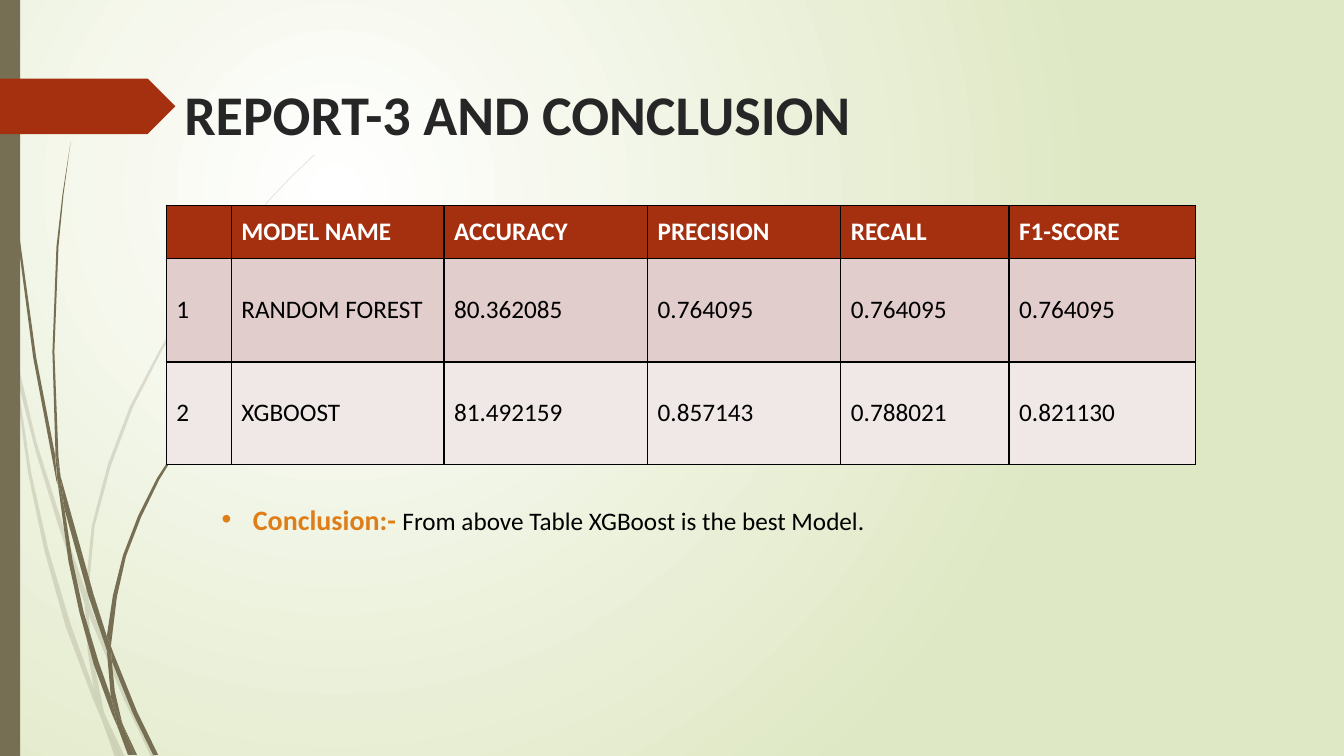
from lxml.etree import SubElement
from pptx import Presentation
from pptx.dml.color import RGBColor
from pptx.enum.shapes import MSO_SHAPE as Shape
from pptx.enum.text import MSO_ANCHOR as Anchor, PP_ALIGN as Align
from pptx.oxml import parse_xml
from pptx.oxml.ns import nsdecls, qn
from pptx.util import Cm, Pt

FONT = "Calibri"
WHITE = RGBColor(0xFF, 0xFF, 0xFF)
BLACK = RGBColor(0x00, 0x00, 0x00)
INK = RGBColor(0x26, 0x26, 0x26)
PALE_GREEN = RGBColor(0xDF, 0xE8, 0xC4)
OLIVE = RGBColor(0x76, 0x6F, 0x54)
RUST = RGBColor(0xA5, 0x30, 0x10)
ROSE = RGBColor(0xE1, 0xCD, 0xCC)
PALE_ROSE = RGBColor(0xF0, 0xE8, 0xE7)
ORANGE = RGBColor(0xDE, 0x7E, 0x18)

# Outlines of the grass blades, in steps of STEM_UNIT
STEM_UNIT = Cm(.0254)
BACK_STEMS = [
    [(11, 350), (9, 322), (0, 282), (0, 299), (10, 344)],
    [(58, 522), (84, 599), (85, 586), (62, 520), (36, 438), (14, 345),
     (17, 376), (36, 450)],
    [(92, 607), (88, 596), (88, 610), (123, 694), (150, 751), (155, 751),
     (127, 692)],
    [(119, 751), (124, 751), (105, 711)],
    [(93, 683), (70, 619), (48, 545), (31, 469), (17, 376), (11, 350),
     (28, 470), (44, 546), (65, 621), (92, 693), (101, 714), (99, 707)],
    [(84, 599), (87, 646), (93, 683), (96, 692), (105, 711), (103, 706),
     (91, 646), (88, 610), (88, 608)],
    [(88, 584), (94, 522), (110, 462), (132, 404), (160, 349), (192, 296),
     (229, 245), (268, 198), (290, 175), (312, 154), (312, 153), (289, 175),
     (268, 197), (228, 244), (190, 294), (158, 348), (129, 403), (107, 461),
     (91, 522), (85, 584), (85, 586), (88, 596)],
    [(101, 714), (114, 751), (119, 751)],
    [(88, 608), (88, 610), (88, 596), (85, 586), (84, 599)],
    [(96, 692), (93, 683), (99, 707), (101, 714), (119, 751), (105, 711)],
]
FRONT_STEMS = [
    [(7, 110), (17, 233), (33, 355), (56, 477), (57, 481), (55, 457),
     (55, 453), (36, 355), (19, 232), (8, 109), (5, 48), (4, 0), (3, 0),
     (4, 48)],
    [(88, 592), (106, 645), (106, 633), (106, 631), (93, 590), (60, 472),
     (64, 505)],
    [(113, 649), (110, 641), (111, 656), (132, 708), (152, 749), (157, 749),
     (136, 706)],
    [(110, 691), (98, 657), (83, 607), (72, 556), (64, 505), (57, 477),
     (68, 557), (79, 608), (93, 659), (111, 708), (117, 722), (116, 717)],
    [(60, 472), (58, 453), (54, 349), (58, 245), (63, 193), (70, 141),
     (62, 193), (56, 245), (52, 349), (55, 449)],
    [(133, 749), (136, 749), (122, 719)],
    [(57, 477), (64, 505), (60, 472), (55, 449), (55, 453)],
    [(111, 633), (116, 592), (125, 552), (140, 513), (158, 476), (180, 440),
     (205, 406), (231, 374), (245, 359), (261, 344), (260, 344), (245, 358),
     (231, 373), (204, 405), (179, 439), (156, 474), (137, 512), (122, 551),
     (112, 591), (106, 631), (110, 641)],
    [(117, 722), (127, 749), (131, 749)],
    [(106, 645), (110, 691), (116, 706), (122, 719), (121, 716), (114, 686),
     (111, 656), (109, 651)],
    [(106, 645), (109, 651), (111, 656), (110, 641), (106, 631), (106, 633)],
    [(116, 706), (110, 691), (116, 717), (117, 722), (130, 749), (133, 749),
     (122, 719)],
]
COLUMN_WIDTHS = [1.64, 5.36, 5.13, 4.87, 4.24, 4.7]
ROW_HEIGHTS = [1.34, 2.6, 2.59]
ROW_FILLS = [RUST, ROSE, PALE_ROSE]
SCORES = [
    ["", "MODEL NAME", "ACCURACY", "PRECISION", "RECALL", "F1-SCORE"],
    ["1", "RANDOM FOREST", "80.362085", "0.764095", "0.764095", "0.764095"],
    ["2", "XGBOOST", "81.492159", "0.857143", "0.788021", "0.821130"],
]


def paint(shape, color):
    shape.shadow.inherit = False
    shape.fill.solid()
    shape.fill.fore_color.rgb = color
    shape.line.fill.background()


def style(font, size, color, bold):
    font.name, font.size, font.bold = FONT, Pt(size), bold
    font.color.rgb = color


def place(shape, left, top, width, height):
    shape.left, shape.top = Cm(left), Cm(top)
    shape.width, shape.height = Cm(width), Cm(height)


def add_background(slide):
    fill = slide.background.fill
    fill.gradient()
    for stop, color in zip(fill.gradient_stops, (WHITE, PALE_GREEN)):
        stop.color.rgb = color
    # Radial glow centred in the upper left quarter
    gradient = slide.element.find(".//" + qn("a:gradFill"))
    gradient.remove(gradient.find(qn("a:lin")))
    glow = SubElement(gradient, qn("a:path"), path="circle")
    SubElement(glow, qn("a:fillToRect"),
               l="50000", t="50000", r="100000", b="100000")


def add_stems(slide, left, top, stems, opacity=100):
    for outline in stems:
        builder = slide.shapes.build_freeform(*outline[0], scale=STEM_UNIT)
        builder.add_line_segments(outline[1:], close=True)
        stem = builder.convert_to_shape(Cm(left), Cm(top))
        paint(stem, OLIVE)
        if opacity < 100:
            color = stem.element.spPr.find(".//" + qn("a:srgbClr"))
            SubElement(color, qn("a:alpha"), val=str(opacity * 1000))


def add_side_decoration(slide, left, top, height):
    add_stems(slide, left, top, BACK_STEMS, opacity=20)
    add_stems(slide, left, top, FRONT_STEMS)
    side_bar = slide.shapes.add_shape(
        Shape.RECTANGLE, Cm(left), Cm(top), Cm(.51), Cm(height))
    paint(side_bar, OLIVE)
    title_arrow = slide.shapes.add_shape(
        Shape.PENTAGON, Cm(left), Cm(top + 1.98), Cm(4.42), Cm(1.4))
    paint(title_arrow, RUST)


def add_title(slide, left, top, width, height):
    title = slide.shapes.title
    place(title, left, top, width, height)
    title.text_frame.text = "REPORT-3 AND CONCLUSION"
    title.text_frame.vertical_anchor = Anchor.TOP
    heading = title.text_frame.paragraphs[0]
    heading.alignment = Align.LEFT
    style(heading.font, 40, INK, True)


def add_border(cell):
    properties = cell._tc.get_or_add_tcPr()
    for position, side in enumerate(("lnL", "lnR", "lnT", "lnB")):
        properties.insert(position, parse_xml(
            f'<a:{side} {nsdecls("a")} w="12700"><a:solidFill>'
            f'<a:srgbClr val="{BLACK}"/></a:solidFill></a:{side}>'))


def add_scores(slide, left, top):
    scores = slide.shapes.add_table(
        len(SCORES), len(COLUMN_WIDTHS), Cm(left), Cm(top),
        Cm(sum(COLUMN_WIDTHS)), Cm(sum(ROW_HEIGHTS))).table
    for column, width in zip(scores.columns, COLUMN_WIDTHS):
        column.width = Cm(width)
    for r, values in enumerate(SCORES):
        scores.rows[r].height = Cm(ROW_HEIGHTS[r])
        for c, value in enumerate(values):
            cell = scores.cell(r, c)
            cell.text = value
            cell.vertical_anchor = Anchor.MIDDLE
            cell.fill.solid()
            cell.fill.fore_color.rgb = ROW_FILLS[r]
            style(cell.text_frame.paragraphs[0].font, 18,
                  BLACK if r else WHITE, r == 0)
            add_border(cell)


def add_conclusion(slide, left, top, width, height):
    conclusion = slide.placeholders[1]
    place(conclusion, left, top, width, height)
    point = conclusion.text_frame.paragraphs[0]
    point.space_before = Pt(0)
    label, verdict = point.add_run(), point.add_run()
    label.text = "Conclusion:- "
    style(label.font, 20, ORANGE, True)
    verdict.text = "From above Table XGBoost is the best Model."
    style(verdict.font, 18, BLACK, False)
    # Hanging bullet
    properties = point._p.get_or_add_pPr()
    properties.set("marL", str(Cm(.79)))
    properties.set("indent", str(-Cm(.79)))
    SubElement(properties, qn("a:buFont"), typeface="Arial")
    SubElement(properties, qn("a:buChar"), char="•")


def main():
    deck = Presentation()
    deck.slide_width, deck.slide_height = Cm(33.87), Cm(19.05)
    slide = deck.slides.add_slide(deck.slide_layouts[1])
    add_background(slide)
    add_side_decoration(slide, 0, 0, 19.05)
    add_title(slide, 4.39, 1.88, 24.77, 2.29)
    add_scores(slide, 4.19, 5.18)
    add_conclusion(slide, 5.33, 12.53, 25.98, 1.12)
    deck.save("out.pptx")


if __name__ == "__main__":
    main()
